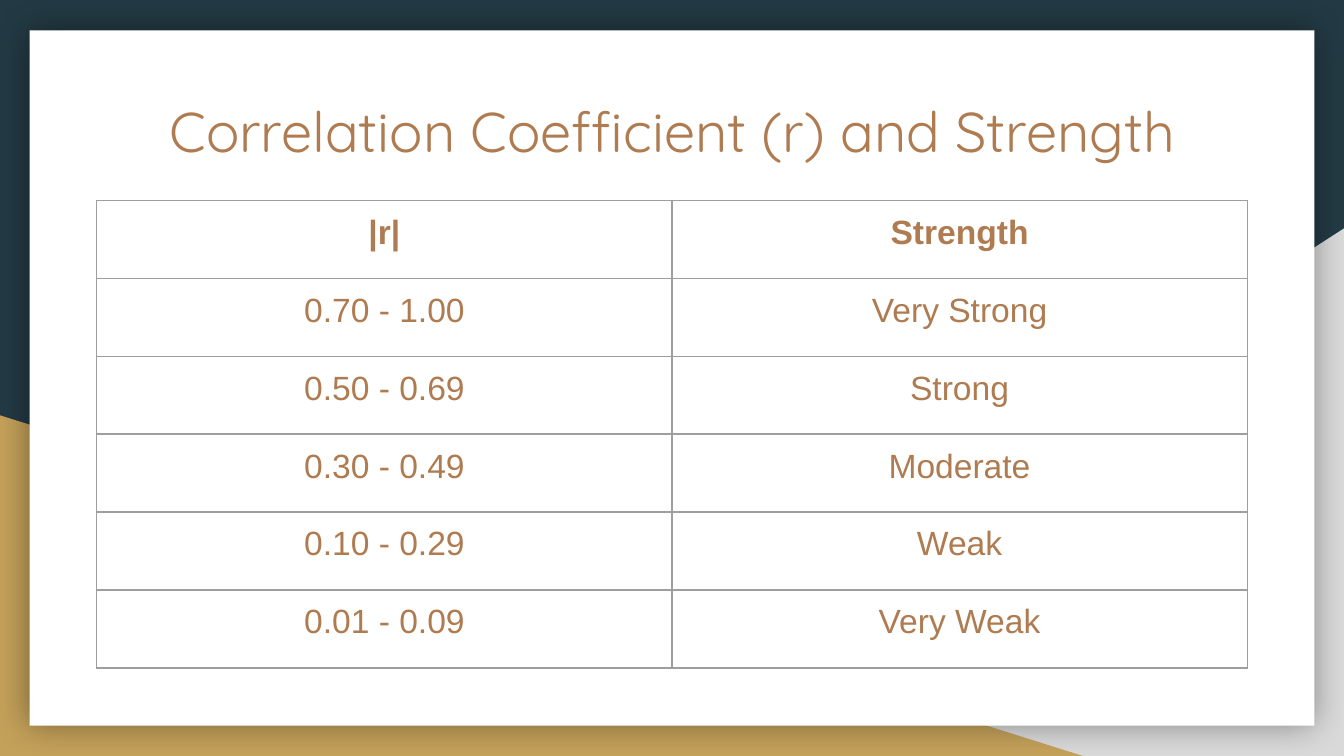
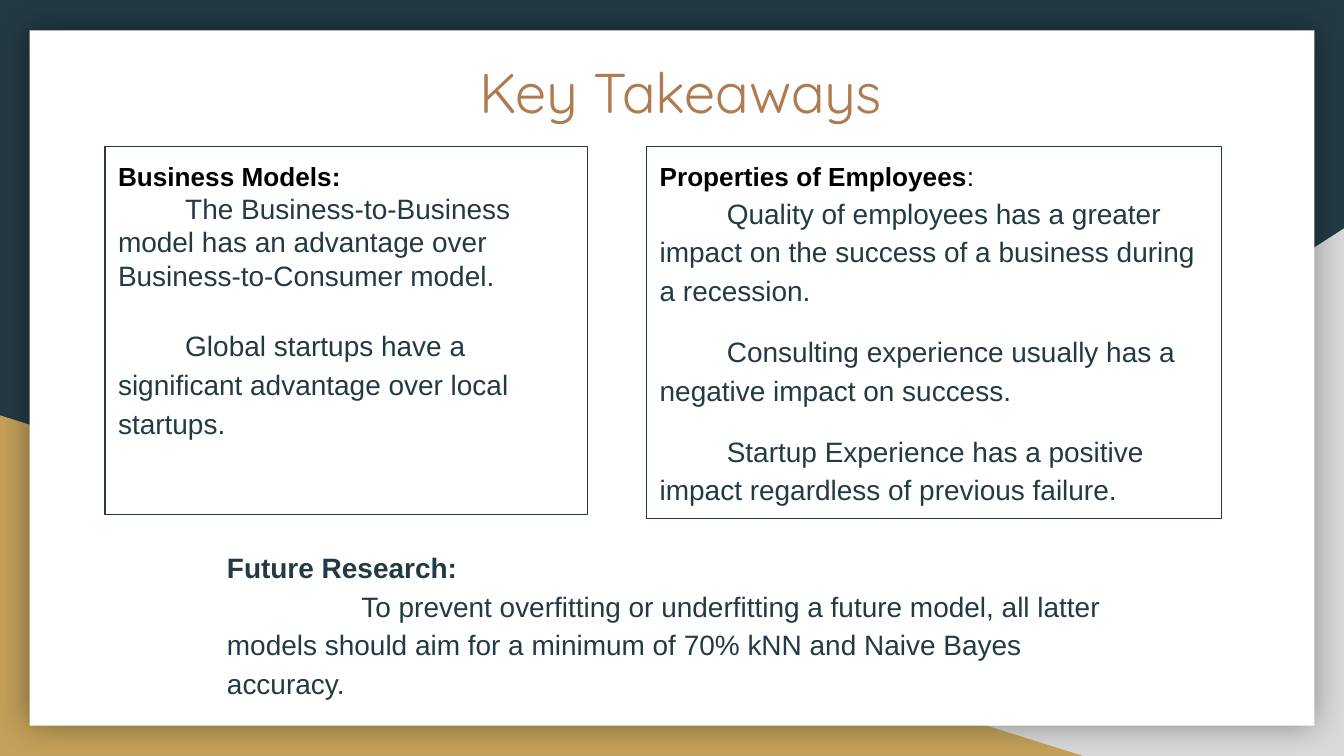
from lxml import etree
from pptx import Presentation
from pptx.dml.color import RGBColor
from pptx.enum.shapes import MSO_SHAPE
from pptx.enum.text import MSO_ANCHOR, PP_ALIGN
from pptx.oxml import parse_xml
from pptx.oxml.ns import nsdecls, qn
from pptx.util import Inches, Pt

RECTANGLE = MSO_SHAPE.RECTANGLE
TRIANGLE = MSO_SHAPE.RIGHT_TRIANGLE
TOP, MIDDLE = MSO_ANCHOR.TOP, MSO_ANCHOR.MIDDLE
LEFT, CENTER = PP_ALIGN.LEFT, PP_ALIGN.CENTER

NAVY = RGBColor(0x23, 0x3A, 0x44)
GOLD = RGBColor(0xC4, 0xA1, 0x5A)
SILVER = RGBColor(0xD9, 0xD9, 0xD9)
COPPER = RGBColor(0xAF, 0x7B, 0x51)
WHITE = RGBColor(0xFF, 0xFF, 0xFF)
BLACK = RGBColor(0, 0, 0)
BORDER_GRAY = RGBColor(0x9E, 0x9E, 0x9E)

SLIDE_WIDTH = Inches(10)
SLIDE_HEIGHT = SLIDE_WIDTH * 9 // 16
GRID_COLUMNS = 100
CELL = SLIDE_WIDTH // GRID_COLUMNS
MARGINS = {f"margin_{side}": CELL for side in ("left", "top", "right", "bottom")}
THIN_LINE = Pt(0.75)
FIRST_LINE = 5
LOOSE = {"line_spacing": 1.15}

TITLE_FONT = {"name": "Quicksand", "size": Pt(30), "color": COPPER}
HEADING_FONT = {"name": "Arial", "size": Pt(14), "bold": True, "color": BLACK}
BODY_FONT = {"name": "Arial", "size": Pt(15), "bold": False, "color": NAVY}
TABLE_FONT = {"name": "Arial", "size": Pt(18), "color": COPPER}

STRENGTHS = [
    ("|r|", "Strength"),
    ("0.70 - 1.00", "Very Strong"),
    ("0.50 - 0.69", "Strong"),
    ("0.30 - 0.49", "Moderate"),
    ("0.10 - 0.29", "Weak"),
    ("0.01 - 0.09", "Very Weak"),
]


def set_all(target, values):
    for name, value in values.items():
        setattr(target, name, value)


def body(text, indent=FIRST_LINE, **spacing):
    return [(text, BODY_FONT)], spacing, indent


def heading(*runs, **spacing):
    return list(runs), spacing, 0


class Deck:
    def __init__(self):
        self.presentation = Presentation()
        set_all(self.presentation, {"slide_width": SLIDE_WIDTH, "slide_height": SLIDE_HEIGHT})
        self.slide = None

    def place(self, *cells):
        return [round(value * CELL) for value in cells]

    def new_slide(self):
        self.slide = self.presentation.slides.add_slide(self.presentation.slide_layouts[6])
        background = self.slide.background.fill
        background.solid()
        background.fore_color.rgb = NAVY
        corner = self.shape(TRIANGLE, (39.2, 17, 60.8, 39.25), fill=SILVER)
        corner.element.spPr.get_or_add_xfrm().set("flipH", "1")
        self.shape(TRIANGLE, (0, 30.9, 80.6, 25.35), fill=GOLD)
        self.glow(self.shape(RECTANGLE, (2.2, 2.25, 95.6, 51.75), fill=WHITE))

    def shape(self, preset, area, fill=None, line=None):
        shape = self.slide.shapes.add_shape(preset, *self.place(*area))
        shape.shadow.inherit = False
        for part, color in ((shape.fill, fill), (shape.line.fill, line)):
            if color is None:
                part.background()
            else:
                part.solid()
                part.fore_color.rgb = color
        if line is not None:
            shape.line.width = THIN_LINE
        return shape

    def glow(self, shape):
        effects = shape.element.spPr.find(qn("a:effectLst"))
        shadow = etree.SubElement(
            effects, qn("a:outerShdw"), blurRad=str(Pt(18)), dist="0", dir="0",
            algn="ctr", rotWithShape="0")
        color = etree.SubElement(shadow, qn("a:srgbClr"), val=str(BLACK))
        etree.SubElement(color, qn("a:alpha"), val="40000")

    def fill_text(self, frame, paragraphs, align=LEFT):
        for index, (runs, spacing, indent) in enumerate(paragraphs):
            paragraph = frame.add_paragraph() if index else frame.paragraphs[0]
            set_all(paragraph, {"alignment": align, **spacing})
            if indent:
                properties = paragraph._p.get_or_add_pPr()
                properties.set("marL", "0")
                properties.set("indent", str(indent * CELL))
            for text, style in runs:
                run = paragraph.add_run()
                run.text = text
                set_all(run.font, {key: value for key, value in style.items() if key != "color"})
                run.font.color.rgb = style["color"]

    def text(self, area, paragraphs, align=LEFT, anchor=TOP, line=None):
        if line is None:
            shape = self.slide.shapes.add_textbox(*self.place(*area))
        else:
            shape = self.shape(RECTANGLE, area, line=line)
        set_all(shape.text_frame, {"word_wrap": True, "vertical_anchor": anchor, **MARGINS})
        self.fill_text(shape.text_frame, paragraphs, align)

    def title(self, text, left, top, anchor):
        self.text((left, top, 82.1, 10.4), [heading((text, TITLE_FONT))], CENTER, anchor)

    def table(self, area, rows):
        frame = self.slide.shapes.add_table(len(rows), len(rows[0]), *self.place(*area))
        table = frame.table
        set_all(table, {"first_row": False, "horz_banding": False})
        for row_index, row in enumerate(rows):
            for column_index, text in enumerate(row):
                cell = table.cell(row_index, column_index)
                set_all(cell, {"vertical_anchor": TOP, **MARGINS})
                style = {**TABLE_FONT, "bold": row_index == 0}
                self.fill_text(cell.text_frame, [heading((text, style))], CENTER)
                self.cell_borders(cell)
                cell.fill.background()

    def cell_borders(self, cell):
        properties = cell._tc.get_or_add_tcPr()
        for side in "LRTB":
            properties.append(parse_xml(
                f'<a:ln{side} {nsdecls("a")} w="{THIN_LINE}"><a:solidFill>'
                f'<a:srgbClr val="{BORDER_GRAY}"/></a:solidFill></a:ln{side}>'))


def correlation_slide(deck):
    deck.new_slide()
    deck.title("Correlation Coefficient (r) and Strength", 9, 4.5, MIDDLE)
    deck.table((7.2, 14.9, 85.6, 5.8 * len(STRENGTHS)), STRENGTHS)


def takeaways_slide(deck):
    deck.new_slide()
    deck.title("Key Takeaways", 9.6, 3.3, TOP)
    deck.text((15.9, 39.6, 68.1, 12.7), [
        heading(("Future Research:", {**BODY_FONT, "bold": True}), **LOOSE),
        body("To prevent overfitting or underfitting a future model, all latter models "
             "should aim for a minimum of 70% kNN and Naive Bayes accuracy.",
             indent=2 * FIRST_LINE, space_after=Pt(12), **LOOSE),
    ])
    deck.text((7.8, 10.9, 35.9, 27.4), [
        heading(("Business Models:", HEADING_FONT)),
        body("The Business-to-Business model has an advantage over "
             "Business-to-Consumer model."),
        body("Global startups have a significant advantage over local startups.",
             space_before=Pt(17), **LOOSE),
    ], line=NAVY)
    deck.text((48.1, 10.9, 42.8, 27.7), [
        heading(("Properties of Employees", HEADING_FONT),
                (":", {**HEADING_FONT, "bold": False})),
        body("Quality of employees has a greater impact on the success of a business "
             "during a recession.", **LOOSE),
        body("Consulting experience usually has a negative impact on success.",
             space_before=Pt(12), **LOOSE),
        body("Startup Experience has a positive impact regardless of previous failure.",
             space_before=Pt(12), space_after=Pt(12), **LOOSE),
    ], line=NAVY)


def main():
    deck = Deck()
    correlation_slide(deck)
    takeaways_slide(deck)
    deck.presentation.save("out.pptx")


if __name__ == "__main__":
    main()
